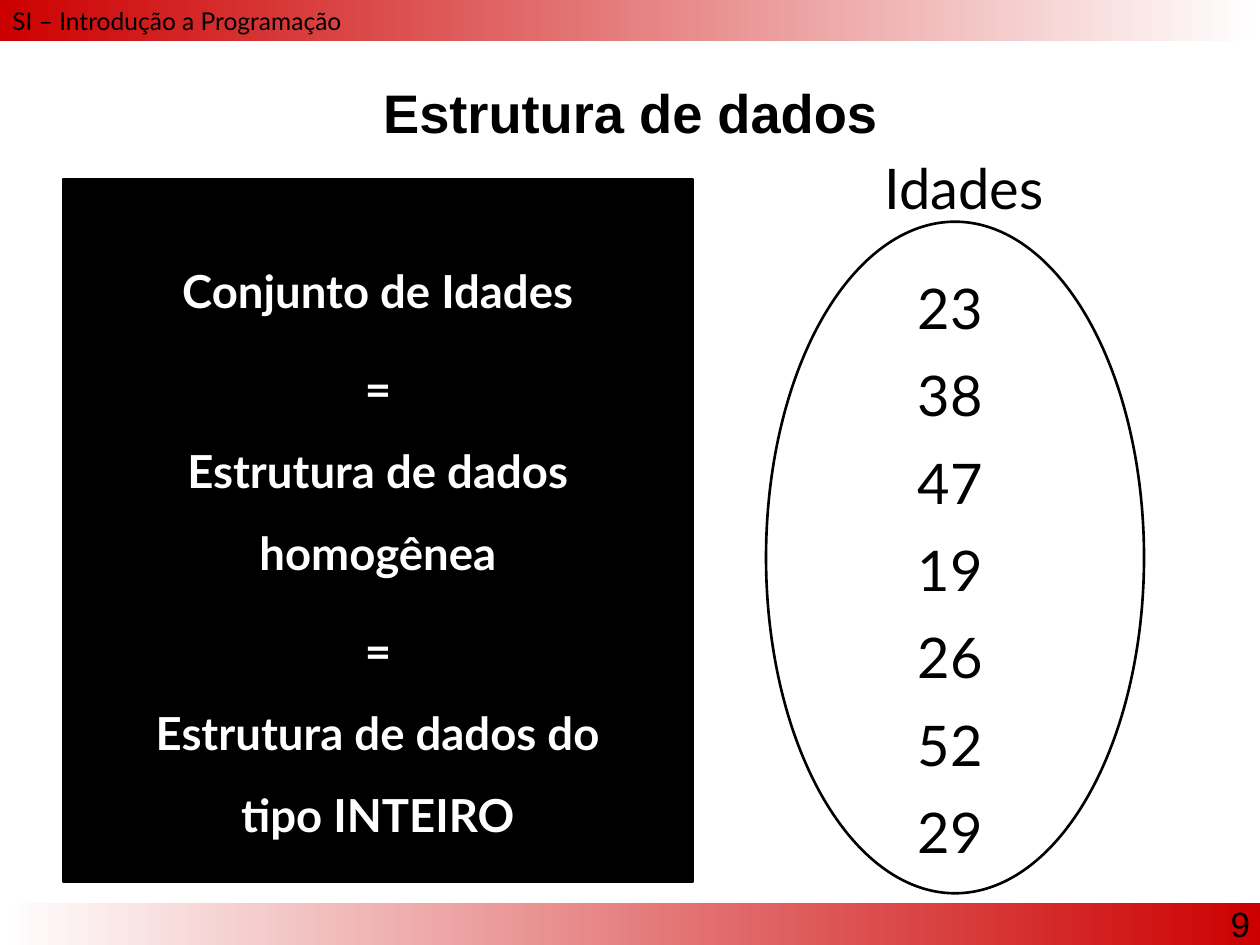
from dataclasses import dataclass

from pptx import Presentation, util as u
from pptx.dml.color import RGBColor
from pptx.enum import shapes, text


@dataclass(frozen=True)
class Theme:
    """Colours, fonts and type sizes of the slide."""
    ink: str = "000000"
    paper: str = "FFFFFF"
    red: str = "CC0000"
    body: str = "Lato"
    head: str = "Arial"
    small: int = 14
    page: int = 20
    main: int = 26
    title: int = 31
    large: int = 32


@dataclass(frozen=True)
class Box:
    """A place on the slide, in inches."""
    left: float
    top: float
    wide: float
    high: float

    def emu(self) -> list:
        """Give the four lengths to python-pptx."""
        return [u.Inches(v) for v in (self.left, self.top, self.wide, self.high)]


@dataclass(frozen=True)
class Line:
    """A paragraph and its line spacing."""
    words: str
    space: float = 1.0


@dataclass(frozen=True)
class Band:
    """A bar that fades from one colour to another."""
    box: Box
    start: str
    end: str


T = Theme()
WIDE, HIGH, BAR = 10, 7.5, 0.33
AGES = (23, 38, 47, 19, 26, 52, 29)
BANDS = (
    Band(Box(0, HIGH - BAR, WIDE, BAR), T.paper, T.red),
    Band(Box(0, 0, WIDE, BAR), T.red, T.paper),
)
FACTS = (
    Line("Conjunto de Idades", 1.8),
    Line("=", 1.8),
    Line("Estrutura de dados\nhomogênea", 1.5),
    Line("=", 1.8),
    Line("Estrutura de dados do\ntipo INTEIRO", 1.5),
)


def rgb(code: str) -> RGBColor:
    """Turn a hex code into a colour."""
    return RGBColor.from_string(code)


def write(shape, *lines: Line, size: int, font: str = T.body, color: str = T.ink,
          bold: bool = False, align=text.PP_ALIGN.LEFT,
          anchor=text.MSO_ANCHOR.TOP, wrap: bool = True) -> None:
    """Write formatted paragraphs into a shape."""
    frame = shape.text_frame
    frame.word_wrap, frame.vertical_anchor = wrap, anchor
    for i, line in enumerate(lines):
        para = frame.add_paragraph() if i else frame.paragraphs[0]
        para.text = line.words
        para.alignment, para.line_spacing = align, line.space
        for run in para.runs:
            run.font.size, run.font.name = u.Pt(size), font
            run.font.bold, run.font.color.rgb = bold, rgb(color)


def label(slide, box: Box, *lines: Line, **style) -> None:
    """Add a text box."""
    write(slide.shapes.add_textbox(*box.emu()), *lines, **style)


def form(slide, kind, box: Box, fill: str = "", line: float = 0):
    """Add a shape with an optional fill and outline."""
    shape = slide.shapes.add_shape(kind, *box.emu())
    shape.shadow.inherit = False
    if fill:
        shape.fill.solid()
        shape.fill.fore_color.rgb = rgb(fill)
    else:
        shape.fill.background()
    if line:
        shape.line.color.rgb, shape.line.width = rgb(T.ink), u.Pt(line)
    else:
        shape.line.fill.background()
    return shape


def fade(slide, band: Band) -> None:
    """Add a bar with a left to right gradient."""
    fill = form(slide, shapes.MSO_SHAPE.RECTANGLE, band.box).fill
    fill.gradient()
    fill.gradient_angle = 0
    for stop, code, place in zip(fill.gradient_stops, (band.start, band.end), (0, 1)):
        stop.color.rgb, stop.position = rgb(code), place


def main() -> None:
    """Build and save the slide."""
    deck = Presentation()
    deck.slide_width, deck.slide_height = u.Inches(WIDE), u.Inches(HIGH)
    slide = deck.slides.add_slide(deck.slide_layouts[6])
    mid, center = text.MSO_ANCHOR.MIDDLE, text.PP_ALIGN.CENTER

    for band in BANDS:
        fade(slide, band)
    label(slide, Box(0, 0, WIDE, 0.5), Line("SI – Introdução a Programação"),
          size=T.small)
    label(slide, Box(8.67, 7.11, 1.35, 0.5), Line("9"), size=T.page,
          font=T.head, align=text.PP_ALIGN.RIGHT)
    label(slide, Box(0, 0.52, WIDE, 0.73), Line("Estrutura de dados"),
          size=T.title, font=T.head, bold=True, align=center, anchor=mid)

    label(slide, Box(7.04, 1.96, 1, 4.95), *(Line(str(age), 1.3) for age in AGES),
          size=T.large, align=center)
    label(slide, Box(6.92, 1.17, 1.53, 0.63), Line("Idades"),
          size=T.large, wrap=False)
    form(slide, shapes.MSO_SHAPE.OVAL, Box(6.08, 1.76, 3, 5.33), line=1.5)

    panel = form(slide, shapes.MSO_SHAPE.RECTANGLE, Box(0.5, 1.42, 5, 5.58),
                 fill=T.ink, line=0.75)
    write(panel, *FACTS, size=T.main, color=T.paper, bold=True,
          align=center, anchor=mid, wrap=False)
    deck.save("out.pptx")


main()
